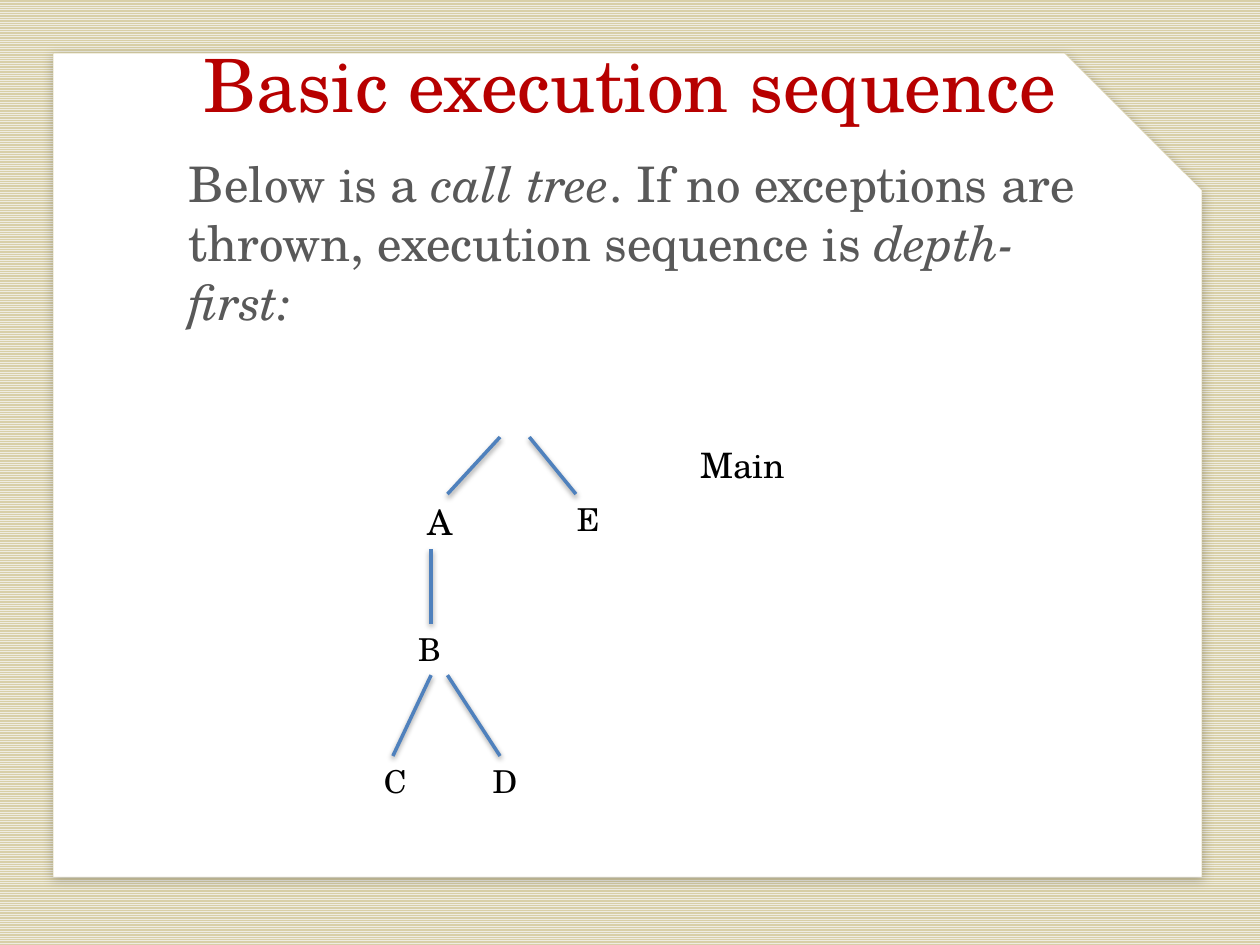
"""Builds a slide showing the call tree of a basic execution sequence."""
from lxml.etree import SubElement
from pptx import Presentation
from pptx.dml.color import RGBColor
from pptx.enum.dml import MSO_PATTERN
from pptx.enum.shapes import MSO_CONNECTOR, MSO_SHAPE
from pptx.enum.text import MSO_ANCHOR, PP_ALIGN
from pptx.oxml.ns import qn
from pptx.util import Cm, Pt

color = RGBColor.from_string


def add_run(paragraph, text, size, hex_color, italic=False):
    run = paragraph.add_run()
    run.text = text
    run.font.name = "TeX Gyre Schola"
    run.font.size = Pt(size)
    run.font.italic = italic
    run.font.bold = False
    run.font.color.rgb = color(hex_color)


def add_shadow(shape, opacity, blur, distance, angle):
    properties = shape._element.spPr
    for effects in properties.findall(qn("a:effectLst")):
        properties.remove(effects)
    effects = SubElement(properties, qn("a:effectLst"))
    shadow = SubElement(effects, qn("a:outerShdw"), blurRad=str(Pt(blur)), dist=str(Pt(distance)),
                        dir=str(angle * 60000), algn="t", rotWithShape="0")
    black = SubElement(shadow, qn("a:srgbClr"), val="000000")
    SubElement(black, qn("a:alpha"), val=str(opacity * 1000))


prs = Presentation()
prs.slide_width, prs.slide_height = Cm(25.4), Cm(19.05)
slide = prs.slides.add_slide(prs.slide_layouts[5])

backdrop = slide.background.fill
backdrop.patterned()
backdrop.pattern = MSO_PATTERN.NARROW_HORIZONTAL
backdrop.fore_color.rgb = color("EEECE1")
backdrop.back_color.rgb = color("D8CFA7")

card = slide.shapes.add_shape(MSO_SHAPE.SNIP_1_RECTANGLE, Cm(1.07), Cm(1.07), Cm(23.16), Cm(16.61))
card.fill.solid()
card.fill.fore_color.rgb = color("FFFFFF")
card.line.color.rgb = color("D8CFA7")
card.line.width = Pt(0.25)
add_shadow(card, 22, 6, 2, 80)
slide.shapes._spTree.insert(2, card._element)

title = slide.shapes.title
title.left, title.top, title.width, title.height = Cm(1.9), Cm(0.79), Cm(21.6), Cm(2.31)
intro = slide.shapes.add_textbox(Cm(3.81), Cm(3.1), Cm(18.54), Cm(13.87))
for block in (title, intro):
    frame = block.text_frame
    frame.margin_left = frame.margin_right = frame.margin_top = frame.margin_bottom = 0
    frame.vertical_anchor = MSO_ANCHOR.TOP
    frame.word_wrap = True

heading = title.text_frame.paragraphs[0]
heading.alignment = PP_ALIGN.CENTER
add_run(heading, "Basic execution sequence", 42, "B70000")

for text, italic in [
    ("Below is a ", False),
    ("call tree", True),
    (". If no exceptions are thrown, execution sequence is ", False),
    ("depth-first:", True),
]:
    add_run(intro.text_frame.paragraphs[0], text, 28, "595959", italic)

for call, left, top, width, size in [
    ("Main", 13.87, 8.81, 4.6, 20),
    ("E", 11.38, 9.96, 2.44, 18),
    ("A", 8.36, 9.96, 1.35, 20),
    ("B", 8.18, 12.57, 3.02, 18),
    ("C", 7.49, 15.24, 0.86, 18),
    ("D", 9.68, 15.24, 1.9, 18),
]:
    label = slide.shapes.add_textbox(Cm(left), Cm(top), Cm(width), Cm(1.05))
    label.text_frame.word_wrap = True
    add_run(label.text_frame.paragraphs[0], call, size, "000000")

for x1, y1, x2, y2 in [
    (10.08, 8.81, 9.02, 9.96),
    (10.67, 8.81, 11.61, 9.96),
    (8.69, 11.07, 8.69, 12.57),
    (8.69, 13.61, 7.92, 15.24),
    (9.02, 13.61, 10.08, 15.24),
]:
    branch = slide.shapes.add_connector(MSO_CONNECTOR.STRAIGHT, Cm(x1), Cm(y1), Cm(x2), Cm(y2))
    branch.line.color.rgb = color("4F81BD")
    branch.line.width = Pt(2)
    add_shadow(branch, 38, 3.1, 1.6, 90)

prs.save("out.pptx")
